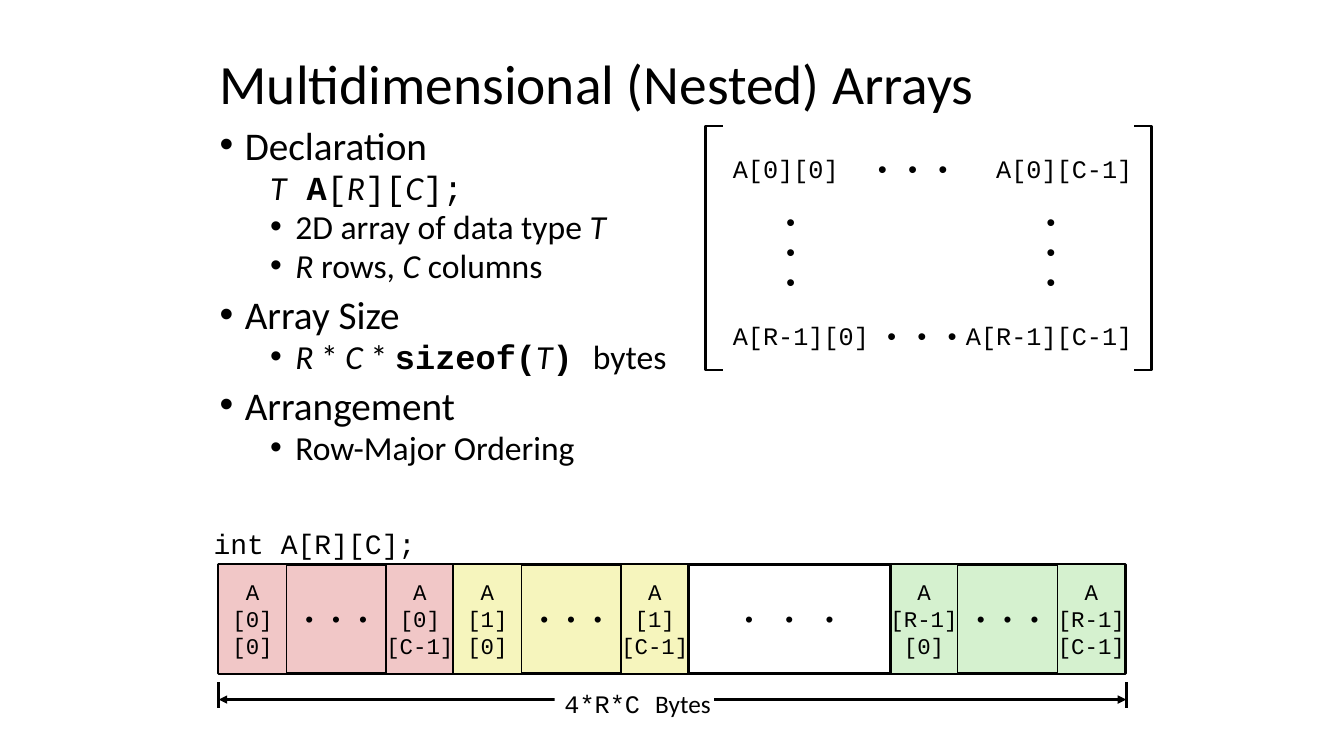
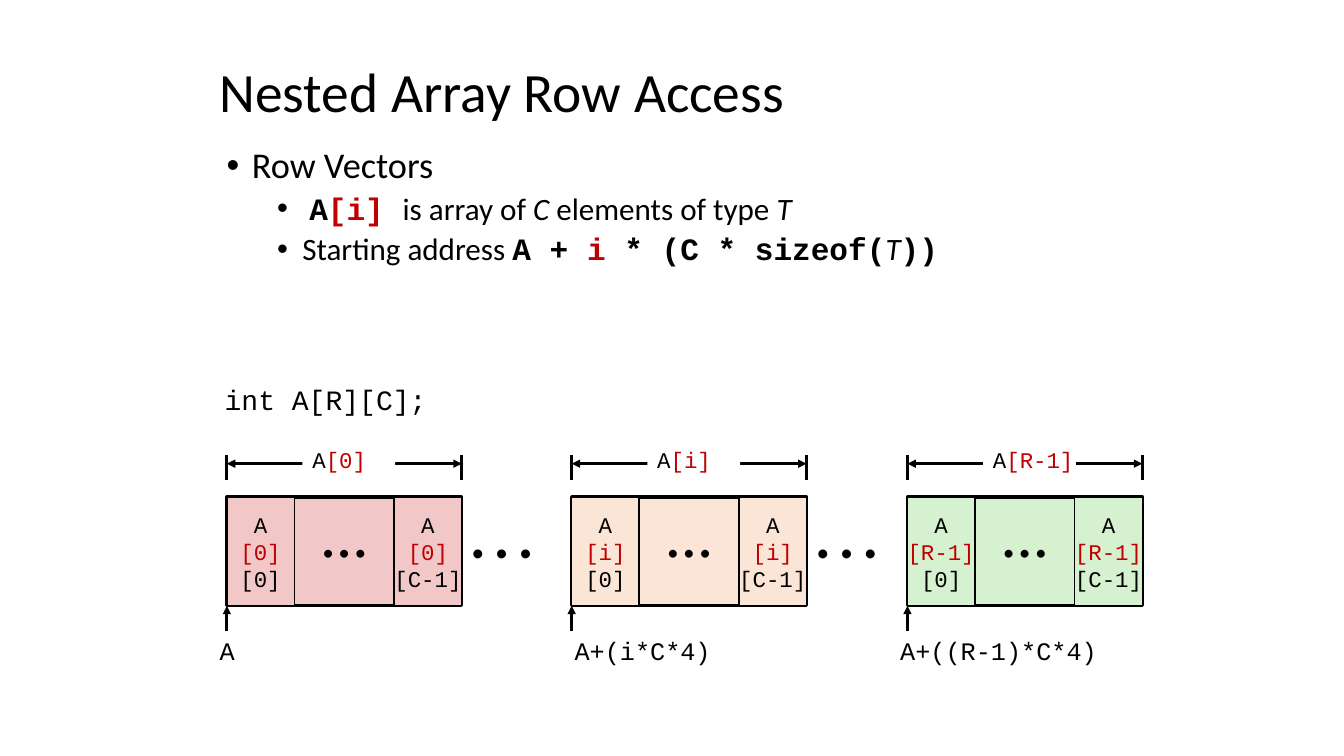
from lxml import etree
from pptx import Presentation
from pptx.dml.color import RGBColor
from pptx.enum.shapes import MSO_CONNECTOR, MSO_SHAPE
from pptx.enum.text import MSO_ANCHOR, PP_ALIGN
from pptx.oxml.ns import qn
from pptx.util import Inches, Pt

RECTANGLE = MSO_SHAPE.RECTANGLE
STRAIGHT = MSO_CONNECTOR.STRAIGHT
MIDDLE, TOP = MSO_ANCHOR.MIDDLE, MSO_ANCHOR.TOP
LEFT, CENTER, RIGHT = PP_ALIGN.LEFT, PP_ALIGN.CENTER, PP_ALIGN.RIGHT

SANS, MONO = "Calibri", "Courier New"
BLACK, WHITE, RED = "000000", "FFFFFF", "C00000"
PINK, YELLOW, GREEN, PEACH = "F1C7C7", "F6F5BD", "D5F1CF", "FBE5D6"

ITALIC = {"italic": True}
MONO_PLAIN = {"font": MONO}
MONO_BOLD = {"font": MONO, "bold": True}
RED_BOLD = {"font": MONO, "bold": True, "color": RED}

BULLET = "\u2022"
DOTS = "\u00a0".join(BULLET * 3)
ROW_WIDTH, CELL_WIDTH, ROW_HEIGHT = 2.33, 0.67, 1.08
TICK = 0.25


def rgb(color):
    return RGBColor.from_string(color)


def write(paragraph, runs, size=18, font=MONO, color=BLACK, bold=False,
          italic=False, align=LEFT, spacing=0):
    paragraph.alignment = align
    for item in [runs] if isinstance(runs, str) else runs:
        text, changes = (item, {}) if isinstance(item, str) else item
        style = {"font": font, "color": color, "bold": bold,
                 "italic": italic, **changes}
        run = paragraph.add_run()
        run.text = text
        run.font.size = Pt(size)
        run.font.name = style["font"]
        run.font.bold = style["bold"]
        run.font.italic = style["italic"]
        run.font.color.rgb = rgb(style["color"])
        if spacing:
            run.font._element.set("spc", str(int(spacing * 100)))


class Deck:
    def __init__(self):
        self.presentation = Presentation()
        self.presentation.slide_width = Inches(13.33)
        self.presentation.slide_height = Inches(7.5)
        self.slide = None

    def add_slide(self, title, top):
        layout = self.presentation.slide_layouts[6]
        self.slide = self.presentation.slides.add_slide(layout)
        self.text(2.08, top, 8.83, 0.63, [title], anchor=MIDDLE, size=39.6,
                  font=SANS, line_spacing=0.9)

    def fill_frame(self, frame, paragraphs, anchor, wrap, line_spacing=None,
                   **style):
        frame.word_wrap = wrap
        frame.vertical_anchor = anchor
        for number, runs in enumerate(paragraphs):
            paragraph = frame.add_paragraph() if number else frame.paragraphs[0]
            if line_spacing:
                paragraph.line_spacing = line_spacing
            write(paragraph, runs, **style)

    def text(self, left, top, width, height, paragraphs, anchor=TOP, **style):
        shape = self.slide.shapes.add_textbox(
            Inches(left), Inches(top), Inches(width), Inches(height))
        self.fill_frame(shape.text_frame, paragraphs, anchor, True, **style)

    def body(self, left, top, width, height, items, sizes, line_spacing):
        shape = self.slide.shapes.add_textbox(
            Inches(left), Inches(top), Inches(width), Inches(height))
        frame = shape.text_frame
        frame.word_wrap = True
        for number, (level, bulleted, runs) in enumerate(items):
            paragraph = frame.add_paragraph() if number else frame.paragraphs[0]
            paragraph.level = level
            paragraph.line_spacing = line_spacing
            paragraph.space_before = Pt(5 if level else 10)
            write(paragraph, runs, size=sizes[level], font=SANS)
            properties = paragraph._p.get_or_add_pPr()
            properties.set("marL", str(Inches(0.25 + 0.5 * level)))
            properties.set("indent", str(Inches(-0.25)))
            if bulleted:
                etree.SubElement(properties, qn("a:buFont"), typeface="Arial")
                etree.SubElement(properties, qn("a:buChar"), char=BULLET)
            else:
                etree.SubElement(properties, qn("a:buNone"))

    def box(self, left, top, width, height, paragraphs, fill=WHITE, line=0,
            **style):
        shape = self.slide.shapes.add_shape(
            RECTANGLE, Inches(left), Inches(top), Inches(width), Inches(height))
        shape.shadow.inherit = False
        shape.fill.solid()
        shape.fill.fore_color.rgb = rgb(fill)
        if line:
            shape.line.color.rgb = rgb(BLACK)
            shape.line.width = Pt(line)
        else:
            shape.line.fill.background()
        self.fill_frame(shape.text_frame, paragraphs, MIDDLE, False, **style)

    def line(self, start, end, head=False, tail=False):
        connector = self.slide.shapes.add_connector(
            STRAIGHT, *[Inches(value) for value in (*start, *end)])
        connector.line.color.rgb = rgb(BLACK)
        connector.line.width = Pt(2)
        outline = connector.line._get_or_add_ln()
        for tag, wanted in (("a:headEnd", head), ("a:tailEnd", tail)):
            if wanted:
                etree.SubElement(outline, qn(tag), type="triangle")
        etree.SubElement(connector._element.spPr, qn("a:effectLst"))

    def bracket(self, edge, tip, top, bottom):
        points = [(Inches(x), Inches(y)) for x, y in
                  ((tip, top), (edge, top), (edge, bottom), (tip, bottom))]
        builder = self.slide.shapes.build_freeform(*points[0], scale=1.0)
        builder.add_line_segments(points[1:], close=False)
        shape = builder.convert_to_shape()
        shape.shadow.inherit = False
        shape.fill.background()
        shape.line.color.rgb = rgb(BLACK)
        shape.line.width = Pt(2)

    def array_row(self, left, top, fill, index, index_color=BLACK,
                  dots_font=MONO):
        self.box(left, top, ROW_WIDTH, ROW_HEIGHT, [DOTS], fill, 2.25,
                 size=16, font=dots_font, align=CENTER)
        row = [(f"[{index}]", {"color": index_color})]
        last = left + ROW_WIDTH - CELL_WIDTH
        for cell_left, column in ((left, "[0]"), (last, "[C-1]")):
            self.box(cell_left, top, CELL_WIDTH, ROW_HEIGHT,
                     ["A", row, column], fill, 1, size=16, align=CENTER)

    def span(self, left, right, top, arrow_top):
        for x in (left, right):
            self.line((x, top), (x, top + TICK))
        self.line((left, arrow_top), (right, arrow_top), head=True, tail=True)

    def declaration(self, left, top):
        self.text(left, top, 2.3, 0.43, ["int A[R][C];"], size=20)


def build_nested_arrays(deck):
    deck.add_slide("Multidimensional (Nested) Arrays", 0.54)
    deck.body(2.08, 1.24, 4.85, 3.68, [
        (0, True, "Declaration"),
        (1, False, [("T", ITALIC), (" ", MONO_PLAIN), ("A", MONO_BOLD),
                    ("[", MONO_PLAIN), ("R", ITALIC), ("][", MONO_PLAIN),
                    ("C", ITALIC), ("];", MONO_PLAIN)]),
        (1, True, ["2D array of data type ", ("T", ITALIC)]),
        (1, True, [("R", ITALIC), " rows, ", ("C", ITALIC), " columns"]),
        (0, True, "Array Size"),
        (1, True, [("R", ITALIC), " * ", ("C ", ITALIC), "* ",
                   ("sizeof(", MONO_BOLD), ("T", ITALIC), (") ", MONO_BOLD),
                   "bytes"]),
        (0, True, "Arrangement"),
        (1, True, "Row-Major Ordering"),
    ], sizes=(28, 24), line_spacing=0.8)

    for top, index, dots_left in ((1.42, "0", 8.58), (3.08, "R-1", 8.67)):
        deck.box(7.17, top, 1.33, 0.5, [f"A[{index}][0]"])
        deck.box(dots_left, top, 1, 0.5, [DOTS])
        deck.box(10, top, 1.33, 0.5, [f"A[{index}][C-1]"], align=RIGHT)
    for left in (7.67, 10.25):
        deck.box(left, 2.08, 0.5, 0.83, [BULLET] * 3)
    for edge, tip in ((7, 7.17), (11.42, 11.25)):
        deck.bracket(edge, tip, 1.25, 3.67)

    deck.declaration(2.02, 5.17)
    for left, fill, index in ((2.17, PINK, "0"), (4.5, YELLOW, "1"),
                              (8.83, GREEN, "R-1")):
        deck.array_row(left, 5.6, fill, index)
    deck.box(6.83, 5.6, 2, ROW_HEIGHT, [DOTS], line=2, size=16, align=CENTER,
             spacing=4.8)
    deck.span(2.17, 11.17, 6.77, 6.94)
    deck.box(5.5, 6.77, 1.58, 0.42, [["4*R*C ", ("Bytes", {"font": SANS})]])


def build_row_access(deck):
    deck.add_slide("Nested Array Row Access", 0.62)
    deck.body(2.15, 1.41, 7.43, 1.59, [
        (0, True, "Row Vectors"),
        (1, True, [" ", ("A", MONO_BOLD), ("[i] ", RED_BOLD), "is array of ",
                   ("C", ITALIC), " elements of type ", ("T", ITALIC)]),
        (1, True, ["Starting address ", ("A + ", MONO_BOLD), ("i", RED_BOLD),
                   (" * (C * sizeof(", MONO_BOLD), ("T", ITALIC),
                   ("))", MONO_BOLD)]),
    ], sizes=(25.9, 22.2), line_spacing=0.9)
    deck.declaration(2.13, 3.75)

    for left in (4.58, 8):
        deck.box(left, 4.93, 1.08, ROW_HEIGHT, [DOTS], font=SANS, spacing=2)
    rows = ((2.25, PINK, "0", 2.08, "A"),
            (5.67, PEACH, "i", 5.6, "A+(i*C*4)"),
            (9, GREEN, "R-1", 8.83, "A+((R-1)*C*4)"))
    for left, fill, index, address_left, address in rows:
        deck.array_row(left, 4.93, fill, index, RED, SANS)
        deck.span(left, left + ROW_WIDTH, 4.51, 4.6)
        deck.box(left + 0.75, 4.35, 0.92, 0.42,
                 [["A", (f"[{index}]", {"color": RED})]], size=16)
        deck.line((left, 6.26), (left, 6.01), tail=True)
        deck.text(address_left, 6.25, 2.5, 0.4, [address])


deck = Deck()
build_nested_arrays(deck)
build_row_access(deck)
deck.presentation.save("out.pptx")
